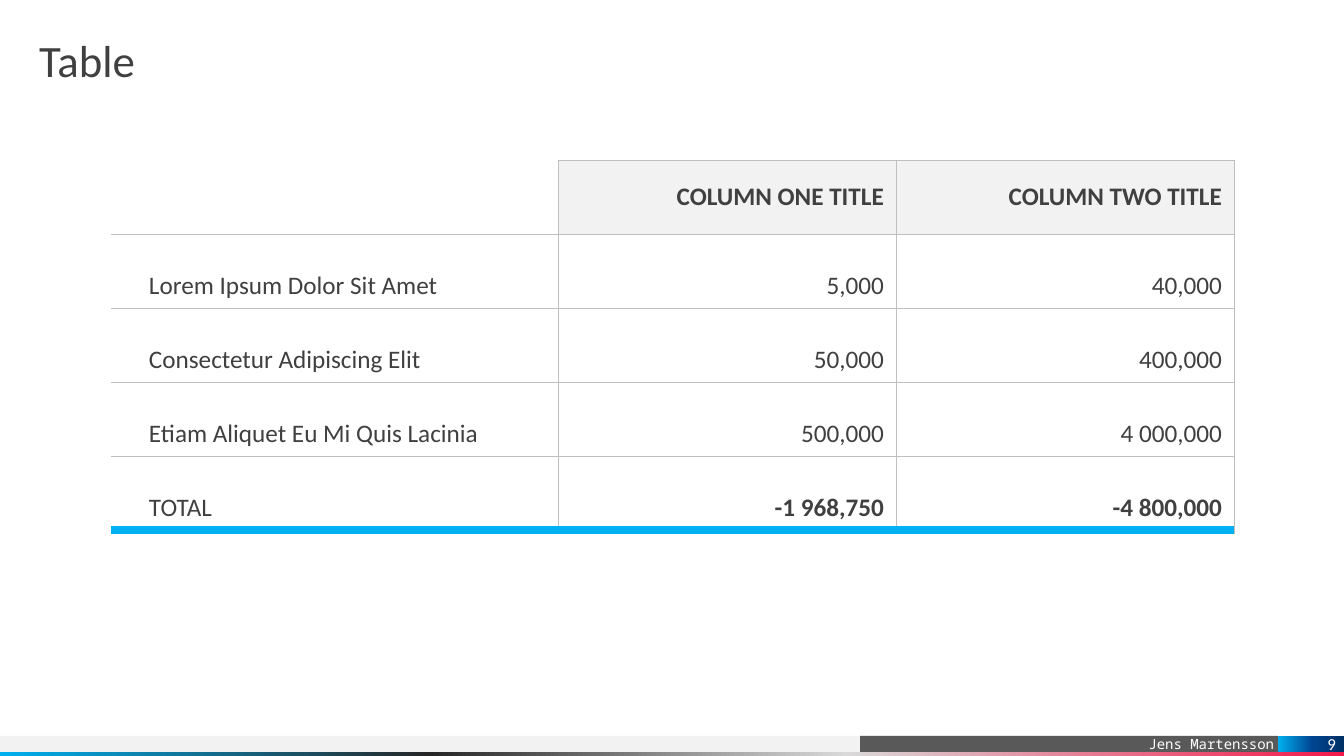
from lxml import etree
from pptx import Presentation
from pptx import util as u
from pptx.dml.color import RGBColor
from pptx.enum import shapes, text
from pptx.oxml.ns import qn

# Content
TITLE = "Table"
AUTHOR = "Jens Martensson"
PAGE = "9"
ROWS = [
    ("", "COLUMN ONE TITLE", "COLUMN TWO TITLE"),
    ("Lorem Ipsum Dolor Sit Amet", "5,000", "40,000"),
    ("Consectetur Adipiscing Elit", "50,000", "400,000"),
    ("Etiam Aliquet Eu Mi Quis Lacinia", "500,000", "4 000,000"),
    ("TOTAL", "-1 968,750", "-4 800,000"),
]

# Colours and fonts
INK = RGBColor(0x40, 0x40, 0x40)
WHITE = RGBColor(0xFF, 0xFF, 0xFF)
PALE = RGBColor(0xF2, 0xF2, 0xF2)
DARK = RGBColor(0x59, 0x59, 0x59)
RULE = RGBColor(0xBF, 0xBF, 0xBF)
CYAN = RGBColor(0x00, 0xB0, 0xF0)
STRIP = [(0, RGBColor(0xF2, 0x19, 0x4A)), (37, RGBColor(0xD9, 0xD9, 0xD9)),
         (68, RGBColor(0x26, 0x26, 0x26)), (100, CYAN)]
BADGE = [(0, RGBColor(0x00, 0x30, 0x65)), (47, RGBColor(0x00, 0x44, 0x90)),
         (100, CYAN)]
SANS, MONO = "Calibri", "Noto Sans Mono"
LEFT, RIGHT = text.PP_ALIGN.LEFT, text.PP_ALIGN.RIGHT
TOP, MID, LOW = (text.MSO_ANCHOR.TOP, text.MSO_ANCHOR.MIDDLE,
                 text.MSO_ANCHOR.BOTTOM)

# Lengths in px
WIDE, HIGH = 1344, 756
COLS = (447, 338, 338)
ROW = 74
GRID = (111, 160, sum(COLS), ROW * len(ROWS))
BAR = 736


def px(n):
    return u.Emu(round(n * 914400 / 100.8))


def write(frame, words, size=18, font=SANS, color=INK, bold=False, align=LEFT):
    para = frame.paragraphs[0]
    para.alignment = align
    run = para.add_run()
    run.text = words
    run.font.size = u.Pt(size)
    run.font.name = font
    run.font.bold = bold
    run.font.color.rgb = color
    return para


def inset(box, left=0, top=0, right=0, low=0):
    box.margin_left, box.margin_top = px(left), px(top)
    box.margin_right, box.margin_bottom = px(right), px(low)


def add_bar(x, y, w, h, fill):
    bar = slide.shapes.add_shape(shapes.MSO_SHAPE.RECTANGLE,
                                 px(x), px(y), px(w), px(h))
    bar.shadow.inherit = False
    bar.line.fill.background()
    if isinstance(fill, RGBColor):
        bar.fill.solid()
        bar.fill.fore_color.rgb = fill
        return bar
    bar.fill.gradient()
    bar.fill.gradient_angle = 180
    stops = bar.element.spPr.find(qn("a:gradFill")).find(qn("a:gsLst"))
    for old in list(stops):
        stops.remove(old)
    for spot, color in fill:
        stop = etree.SubElement(stops, qn("a:gs"), pos=str(spot * 1000))
        etree.SubElement(stop, qn("a:srgbClr"), val=str(color))
    return bar


def edge(cell, side, color=RULE, width=0.25):
    line = etree.SubElement(cell._tc.get_or_add_tcPr(), qn("a:ln" + side),
                            w=str(u.Pt(width)))
    if color is None:
        etree.SubElement(line, qn("a:noFill"))
        return
    fill = etree.SubElement(line, qn("a:solidFill"))
    etree.SubElement(fill, qn("a:srgbClr"), val=str(color))


deck = Presentation()
deck.slide_width, deck.slide_height = px(WIDE), px(HIGH)
slide = deck.slides.add_slide(deck.slide_layouts[5])

# Footer bars
add_bar(-1, BAR, 1037, 16, PALE)
name = add_bar(860, BAR, 418, 16, DARK).text_frame
inset(name, left=10, right=4)
name.vertical_anchor = LOW
write(name, AUTHOR, size=10, font=MONO, color=WHITE, align=RIGHT)
add_bar(-1, 752, WIDE + 1, 4, STRIP)

# Title
head = slide.shapes.title
head.left, head.top, head.width, head.height = map(px, (39, 39, 1265, 59))
frame = head.text_frame
inset(frame)
frame.vertical_anchor = TOP
frame.auto_size = text.MSO_AUTO_SIZE.NONE
write(frame, TITLE, size=32).line_spacing = 0.9

# Table
table = slide.shapes.add_table(len(ROWS), len(COLS), *map(px, GRID)).table
table.first_row = table.horz_banding = False
for col, width in zip(table.columns, COLS):
    col.width = px(width)
last = len(ROWS) - 1
for r, row in enumerate(ROWS):
    table.rows[r].height = px(ROW)
    for c, words in enumerate(row):
        cell = table.cell(r, c)
        inset(cell, 12 if c else 38, 7, 12, 7)
        cell.vertical_anchor = LOW if r else MID
        edge(cell, "L", RULE if c else None)
        edge(cell, "R")
        edge(cell, "T", RULE if r or c else None)
        if r == last:
            edge(cell, "B", CYAN, 6)
        else:
            edge(cell, "B")
        if c and not r:
            cell.fill.solid()
            cell.fill.fore_color.rgb = PALE
        else:
            cell.fill.background()
        if words:
            write(cell.text_frame, words, bold=c > 0 and r in (0, last),
                  align=RIGHT if c else LEFT)

# Page number
page = add_bar(1278, BAR, 66, 16, BADGE).text_frame
inset(page, right=8)
page.vertical_anchor = MID
write(page, PAGE, size=12, color=WHITE, align=RIGHT)

deck.save("out.pptx")
